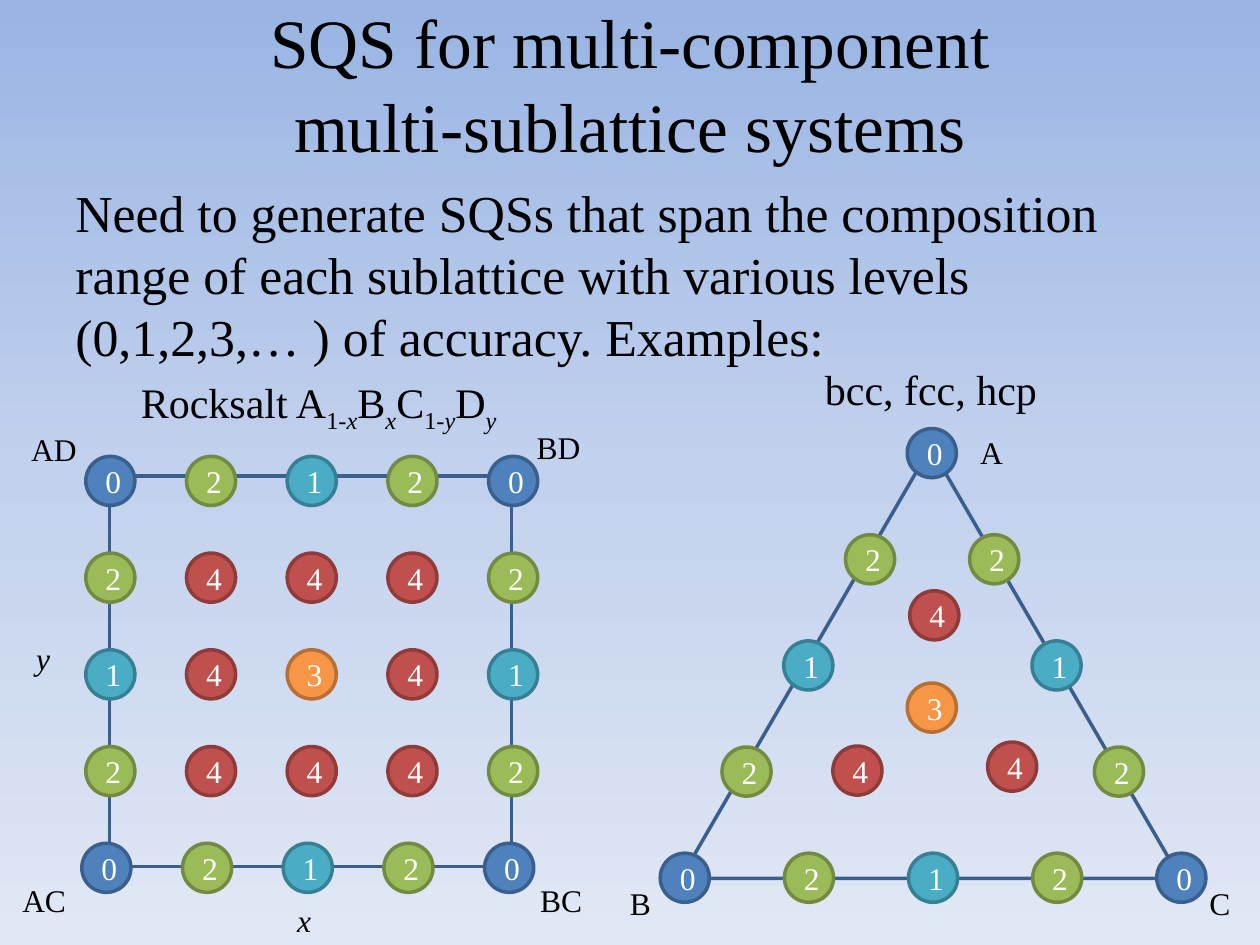
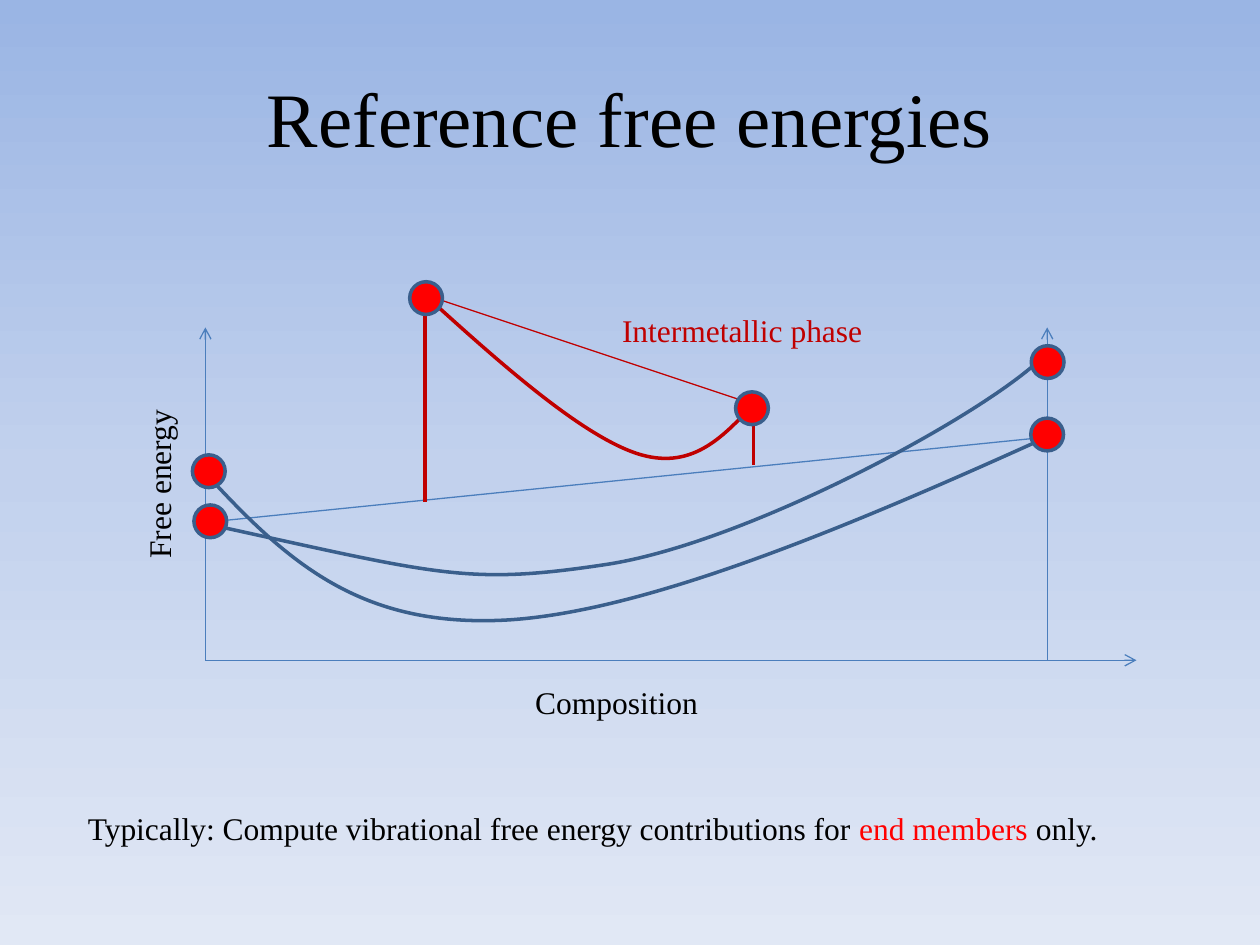
"""Build two slides on SQS levels and reference free energies."""
import itertools
from copy import deepcopy
from dataclasses import dataclass, field
from typing import NamedTuple

import pptx
import pptx.dml.color
import pptx.enum.shapes
import pptx.enum.text
import pptx.oxml
import pptx.oxml.ns
import pptx.util

Cm, Pt, qn = pptx.util.Cm, pptx.util.Pt, pptx.oxml.ns.qn
FORM = pptx.enum.shapes.MSO_SHAPE
MID = pptx.enum.text.MSO_ANCHOR.MIDDLE
CENTER = pptx.enum.text.PP_ALIGN.CENTER
FIT = pptx.enum.text.MSO_AUTO_SIZE
FONT = "Times New Roman"
BLACK, WHITE, RED, CRIMSON = "000000", "FFFFFF", "FF0000", "C00000"
NAVY, BLUE = "3A5F8C", "4B7EBC"
SKY = ((0, "9AB5E4"), (0.5, "C2D1ED"), (1, "E1E8F5"))
LEVELS = {
    "0": ("4F81BD", NAVY),
    "1": ("4BACC6", "377F92"),
    "2": ("9BBB59", "738A42"),
    "3": ("F79646", "B76F34"),
    "4": ("C0504D", "8E3B39"),
}
NODE, DOT = 0.99, 0.66
Point = tuple[float, float]


class Word(NamedTuple):
    """A run of text with its format."""
    text: str
    color: str = BLACK
    italic: bool = False
    sub: bool = False


@dataclass
class Label:
    """A text box, with lengths in centimetres."""
    x: float
    y: float
    w: float
    words: list[Word]
    h: float = 1.02
    size: float = 18
    wrap: bool = False
    turn: int = 0
    frame: dict = field(default_factory=dict)
    para: dict = field(default_factory=dict)


class Line(NamedTuple):
    """A straight line between two points."""
    start: Point
    end: Point
    color: str = BLUE
    width: float = 0.75
    arrow: bool = False


class Curve(NamedTuple):
    """A chain of cubic arcs and the lowest level it reaches."""
    points: list[Point]
    floor: float
    color: str = NAVY


def paint(code: str) -> pptx.dml.color.RGBColor:
    """Turn a hex string into a colour."""
    return pptx.dml.color.RGBColor.from_string(code)


def apply(thing: object, values: dict) -> None:
    """Set each format value on an object."""
    for name, value in values.items():
        setattr(thing, name, value)


def write(para, words: list[Word], size: float) -> None:
    """Add words to a paragraph, with newlines as breaks."""
    for word in words:
        if word.text == "\n":
            para.add_line_break()
            continue
        run = para.add_run()
        run.text = word.text
        apply(run.font, {"name": FONT, "size": Pt(size), "italic": word.italic})
        run.font.color.rgb = paint(word.color)
        if word.sub:
            run._r.get_or_add_rPr().set("baseline", "-25000")


def add_label(slide, label: Label) -> None:
    """Draw a text box."""
    box = slide.shapes.add_textbox(Cm(label.x), Cm(label.y), Cm(label.w), Cm(label.h))
    box.rotation = label.turn
    base = {"word_wrap": label.wrap, "auto_size": FIT.SHAPE_TO_FIT_TEXT}
    apply(box.text_frame, base | label.frame)
    para = box.text_frame.paragraphs[0]
    apply(para, label.para)
    write(para, label.words, label.size)


def add_title(slide, y: float, lines: list[str], size: float) -> None:
    """Draw the slide title."""
    words = [Word(lines[0])]
    for line in lines[1:]:
        words += [Word("\n"), Word(line)]
    add_label(slide, Label(1.27, y, 22.86, words, 3.18, size, True,
                           frame={"vertical_anchor": MID, "auto_size": FIT.NONE},
                           para={"alignment": CENTER}))


def style(shape, edge: str, fill: str | None = None) -> None:
    """Give a shape its outline and fill."""
    shape.shadow.inherit = False
    shape.line.color.rgb = paint(edge)
    shape.line.width = Pt(2)
    if fill:
        shape.fill.solid()
        shape.fill.fore_color.rgb = paint(fill)
    else:
        shape.fill.background()


def add_form(slide, form, x: float, y: float, w: float, h: float,
             edge: str = NAVY, fill: str | None = None):
    """Draw a preset shape."""
    shape = slide.shapes.add_shape(form, Cm(x), Cm(y), Cm(w), Cm(h))
    style(shape, edge, fill)
    return shape


def add_node(slide, level: str, x: float, y: float) -> None:
    """Draw a disc that shows its level."""
    fill, edge = LEVELS[level]
    disc = add_form(slide, FORM.OVAL, x, y, NODE, NODE, edge, fill)
    disc.text_frame.vertical_anchor = MID
    para = disc.text_frame.paragraphs[0]
    para.alignment = CENTER
    write(para, [Word(level, WHITE)], 18)


def add_line(slide, line: Line) -> None:
    """Draw a straight line, with an arrowhead if asked."""
    link = slide.shapes.add_connector(
        pptx.enum.shapes.MSO_CONNECTOR.STRAIGHT,
        *(Cm(side) for side in (*line.start, *line.end)))
    link.line.color.rgb = paint(line.color)
    link.line.width = Pt(line.width)
    frame = link.element.spPr
    if line.arrow:
        edge = frame.find(qn("a:ln"))
        edge.append(edge.makeelement(qn("a:tailEnd"), {"type": "arrow"}))
    frame.append(frame.makeelement(qn("a:effectLst"), {}))


def add_curve(slide, curve: Curve) -> None:
    """Draw a smooth open curve from cubic arcs."""
    spots = [(Cm(x), Cm(y)) for x, y in curve.points]
    pen = slide.shapes.build_freeform(*spots[0], scale=1.0)
    pen.add_line_segments([(spots[0][0], Cm(curve.floor)), spots[-1]], close=False)
    shape = pen.convert_to_shape()
    style(shape, curve.color)
    trail = shape.element.find(".//" + qn("a:path"))
    for leg in trail.findall(qn("a:lnTo")):
        trail.remove(leg)
    for first in range(1, len(spots), 3):
        arc = trail.makeelement(qn("a:cubicBezTo"), {})
        trail.append(arc)
        for x, y in spots[first:first + 3]:
            place = {"x": str(x - shape.left), "y": str(y - shape.top)}
            arc.append(arc.makeelement(qn("a:pt"), place))


def add_slide(deck):
    """Add a blank slide with the sky gradient."""
    slide = deck.slides.add_slide(deck.slide_layouts[6])
    fill = slide.background.fill
    fill.gradient()
    fill.gradient_angle = 270
    stops = slide.element.find(".//" + qn("a:gsLst"))
    stops.append(deepcopy(stops[0]))
    for stop, (place, color) in zip(fill.gradient_stops, SKY):
        stop.position = place
        stop.color.rgb = paint(color)
    return slide


def add_square(slide) -> None:
    """Draw the square grid of levels."""
    add_form(slide, FORM.RECTANGLE, 2.21, 9.6, 8.1, 7.87)
    rows = ("02120", "24442", "14341", "24442", "02120")
    for row, levels in enumerate(rows):
        left = 1.65 if row == 4 else 1.73
        for col, level in enumerate(levels):
            add_node(slide, level, left + 2.03 * col, 9.2 + 1.95 * row)


def add_simplex(slide) -> None:
    """Draw the triangle of levels."""
    add_form(slide, FORM.ISOSCELES_TRIANGLE, 13.72, 9.02, 10.08, 8.69)
    tips = [(18.29, 8.64), (23.32, 17.2), (13.31, 17.2)]
    for (ax, ay), (bx, by) in itertools.pairwise(tips + tips[:1]):
        for step, level in enumerate("0212"):
            add_node(slide, level, ax + (bx - ax) * step / 4, ay + (by - ay) * step / 4)
    inner = (("3", 18.29, 13.77), ("4", 18.34, 11.91),
             ("4", 16.79, 15.04), ("4", 19.91, 14.96))
    for node in inner:
        add_node(slide, *node)


def draw_levels(deck) -> None:
    """Build the slide on SQS levels."""
    slide = add_slide(deck)
    add_title(slide, 0.08, ["SQS for multi-component", "multi-sublattice systems"], 39.6)
    need = ("Need to generate SQSs that span the composition range of each sublattice "
            "with various levels (0,1,2,3,… ) of accuracy. Examples:")
    add_label(slide, Label(1.27, 3.51, 22.86, [Word(need)], 3.71, 29.6, True,
                           frame={"auto_size": FIT.NONE}))
    add_square(slide)
    add_simplex(slide)
    marks = (("AC", 0.2, 17.63, 1.4), ("BC", 10.64, 17.63, 1.37),
             ("AD", 0.38, 8.54, 1.45), ("BD", 10.57, 8.51, 1.4),
             ("x", 5.74, 18.03, 0.79), ("y", 0.48, 12.75, 0.79),
             ("A", 19.51, 8.61, 0.97), ("B", 12.45, 17.7, 0.94), ("C", 24.13, 17.7, 0.94))
    for text, x, y, w in marks:
        add_label(slide, Label(x, y, w, [Word(text, italic=text in "xy")]))
    salt = [Word("Rocksalt A")]
    for head, sub, tail in (("1-", "x", "B"), ("", "x", "C"), ("1-", "y", "D"), ("", "y", "")):
        salt += [Word(head, sub=True), Word(sub, italic=True, sub=True), Word(tail)]
    salt = [word for word in salt if word.text]
    add_label(slide, Label(2.59, 7.47, 8, salt, 1.27, 24))
    add_label(slide, Label(16.38, 7.21, 4.83, [Word("bcc, fcc, hcp")], 1.27, 24))


def draw_curves(deck) -> None:
    """Build the slide on reference free energies."""
    slide = add_slide(deck)
    add_title(slide, 0.76, ["Reference free energies"], 44)
    base, peak, dip = (4.14, 13.31), (8.56, 5.94), (15.19, 8.15)
    low, high = (4.06, 10.54), (21.11, 8.81)
    lines = (
        Line(base, (22.91, 13.31), arrow=True),
        Line(base, (4.14, 6.6), arrow=True),
        Line((21.11, 13.31), (21.11, 6.6), arrow=True),
        Line(peak, dip, CRIMSON),
        Line(high, low),
        Line(dip, (15.19, 9.37), CRIMSON, 2.25),
        Line(peak, (8.56, 10.11), CRIMSON, 2.25),
    )
    curves = (
        Curve([(4.29, 9.7), (5.92, 11.46), (7.39, 12.65), (10.21, 12.5),
               (13, 12.34), (17.07, 10.64), high], 12.52),
        Curve([peak, (10.13, 7.37), (11.71, 8.76), (12.83, 9.14),
               (13.92, 9.5), (14.55, 8.84), dip], 9.25, CRIMSON),
        Curve([low, (8.84, 11.58), (9.37, 11.81), (12.22, 11.38),
               (15.06, 10.95), (19.81, 8.38), (21.01, 7.21)], 11.58),
    )
    for line in lines:
        add_line(slide, line)
    for curve in curves:
        add_curve(slide, curve)
    dots = ((20.78, 8.43), (3.91, 10.18), (8.26, 5.68),
            (14.83, 7.9), (20.79, 6.97), (3.88, 9.17))
    for x, y in dots:
        add_form(slide, FORM.OVAL, x, y, DOT, DOT, NAVY, RED)
    note = [Word("Typically: Compute vibrational free energy contributions for "),
            Word("end members", RED), Word(" only.")]
    labels = (
        Label(10.54, 13.64, 3.84, [Word("Composition")]),
        Label(1.42, 9.22, 3.56, [Word("Free energy")], turn=270),
        Label(12.29, 6.15, 5.41, [Word("Intermetallic phase", CRIMSON)]),
        Label(1.52, 16.18, 22.58, note, wrap=True),
    )
    for label in labels:
        add_label(slide, label)


def main() -> None:
    """Build and save the deck."""
    deck = pptx.Presentation()
    apply(deck, {"slide_width": Cm(25.4), "slide_height": Cm(19.05)})
    draw_levels(deck)
    draw_curves(deck)
    deck.save("out.pptx")


if __name__ == "__main__":
    main()
